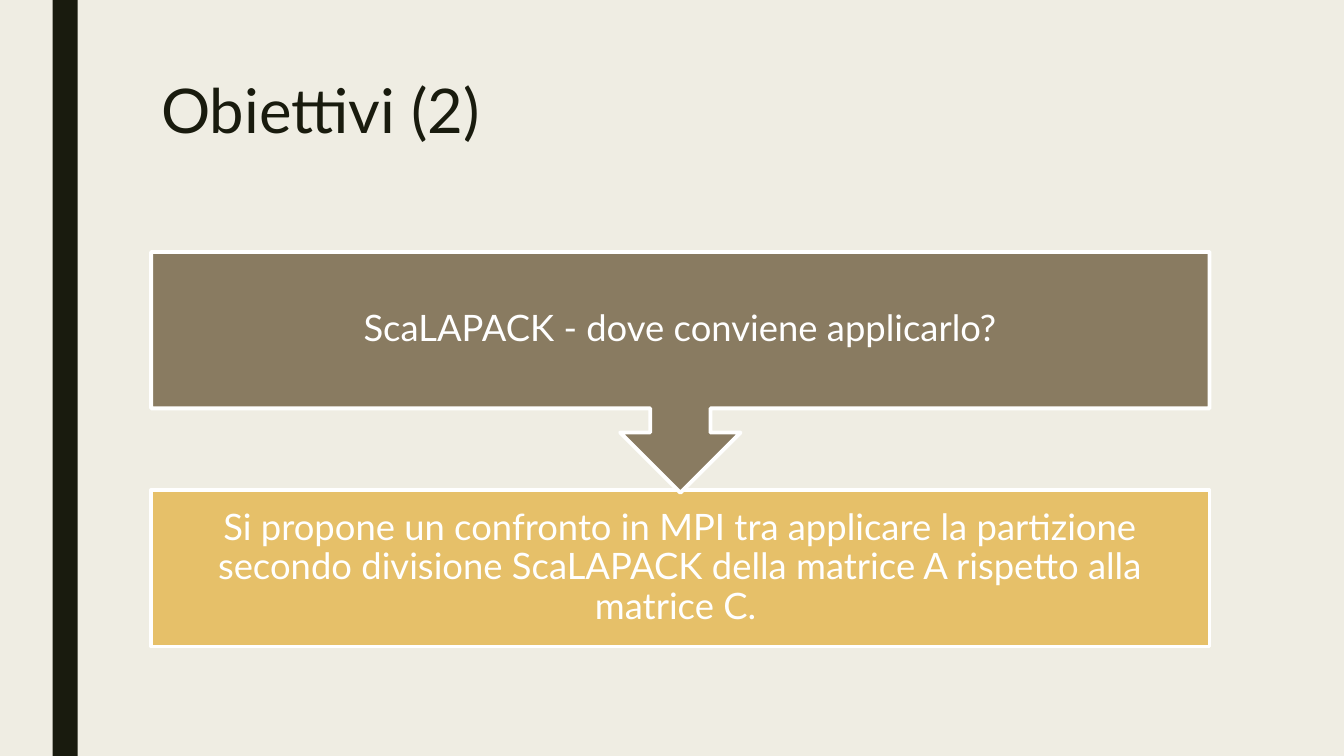
import pptx
import pptx.util
import pptx.dml.color
import pptx.enum.shapes
import pptx.enum.text

Pt = pptx.util.Pt
RGBColor = pptx.dml.color.RGBColor
MSO_SHAPE = pptx.enum.shapes.MSO_SHAPE
PP_ALIGN = pptx.enum.text.PP_ALIGN
MSO_ANCHOR = pptx.enum.text.MSO_ANCHOR

CREAM = RGBColor(0xEF, 0xED, 0xE3)
DARK = RGBColor(0x19, 0x1B, 0x0E)
BROWN = RGBColor(0x89, 0x7B, 0x61)
GOLD = RGBColor(0xE6, 0xC0, 0x69)
WHITE = RGBColor(0xFF, 0xFF, 0xFF)


def write(tf, text, size, color, align, anchor, spacing, inset_x, inset_y):
    tf.word_wrap = True
    tf.auto_size = pptx.enum.text.MSO_AUTO_SIZE.NONE
    tf.vertical_anchor = anchor
    tf.margin_left = tf.margin_right = Pt(inset_x)
    tf.margin_top = tf.margin_bottom = Pt(inset_y)
    p = tf.paragraphs[0]
    p.alignment = align
    p.line_spacing = spacing
    r = p.add_run()
    r.text = text
    r.font.name = "Lato"
    r.font.size = Pt(size)
    r.font.color.rgb = color


prs = pptx.Presentation()
prs.slide_width, prs.slide_height = Pt(960), Pt(540)
s = prs.slides.add_slide(prs.slide_layouts[5])
s.background.fill.solid()
s.background.fill.fore_color.rgb = CREAM

bar = s.shapes.add_shape(MSO_SHAPE.RECTANGLE, Pt(37.5), Pt(0), Pt(18), Pt(540))
bar.shadow.inherit = False
bar.fill.solid()
bar.fill.fore_color.rgb = DARK
bar.line.fill.background()

title = s.shapes.title
title.left, title.top, title.width, title.height = Pt(108), Pt(54), Pt(756), Pt(117)
write(title.text_frame, "Obiettivi (2)", size=44, color=DARK, align=PP_ALIGN.LEFT,
      anchor=MSO_ANCHOR.TOP, spacing=0.89, inset_x=7.2, inset_y=3.6)

steps = [
    (MSO_SHAPE.RECTANGLE, 350, 111.8, GOLD,
     "Si propone un confronto in MPI tra applicare la partizione secondo "
     "divisione ScaLAPACK della matrice A rispetto alla matrice C. "),
    (MSO_SHAPE.DOWN_ARROW_CALLOUT, 180, 172, BROWN,
     "ScaLAPACK - dove conviene applicarlo?"),
]
for kind, top, height, color, text in steps:
    sp = s.shapes.add_shape(kind, Pt(108), Pt(top), Pt(756), Pt(height))
    sp.shadow.inherit = False
    sp.fill.solid()
    sp.fill.fore_color.rgb = color
    sp.line.color.rgb = WHITE
    sp.line.width = Pt(2.75)
    write(sp.text_frame, text, size=26, color=WHITE, align=PP_ALIGN.CENTER,
          anchor=MSO_ANCHOR.MIDDLE, spacing=0.9, inset_x=14.4, inset_y=14.4)

prs.save("out.pptx")
